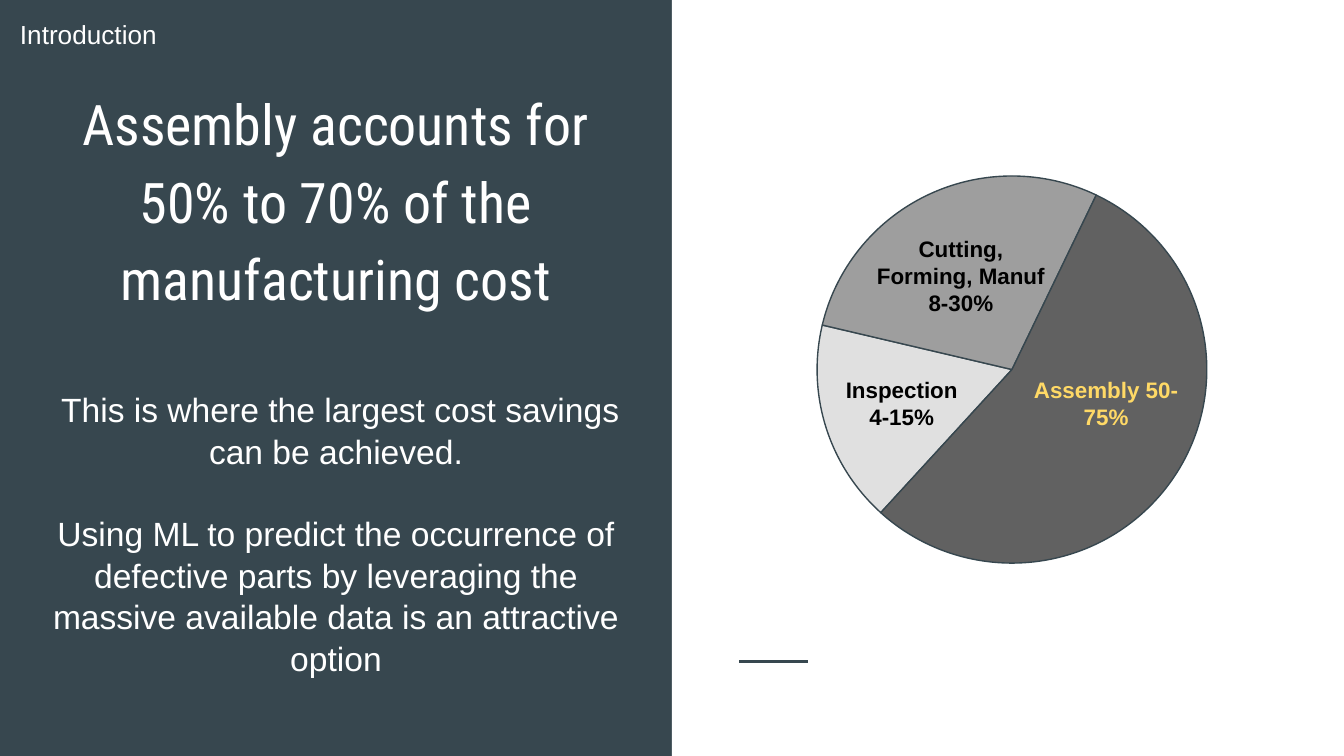
from collections import namedtuple

from lxml.etree import SubElement
from pptx import Presentation
from pptx.dml.color import RGBColor
from pptx.enum.shapes import MSO_CONNECTOR as Connector, MSO_SHAPE as Shape
from pptx.enum.text import MSO_ANCHOR as Anchor, MSO_AUTO_SIZE as AutoSize, PP_ALIGN as Align
from pptx.oxml.ns import qn
from pptx.util import Inches, Pt

COLUMNS = 100
SLIDE_WIDTH = Inches(10)
SLIDE_HEIGHT = SLIDE_WIDTH * 9 // 16
CELL = SLIDE_WIDTH // COLUMNS
ROWS = SLIDE_HEIGHT / CELL
SLATE, WHITE, BLACK, GOLD = "37474F", "FFFFFF", "000000", "FFD966"


class Box(namedtuple("Box", "column row columns rows")):
    """An area measured in grid cells."""

    def area(self, column, row, columns, rows):
        """Return an area placed relative to this one."""
        return Box(self.column + column, self.row + row, columns, rows)

    def lengths(self):
        """Return left, top, width and height as slide lengths."""
        return [round(cells * CELL) for cells in self]


def colour(hex_code):
    """Turn a hex string into a colour."""
    return RGBColor.from_string(hex_code)


def paint(fill, hex_code):
    """Give a fill one solid colour."""
    fill.solid()
    fill.fore_color.rgb = colour(hex_code)


def write(shape, lines, size, hex_code, font="Arial", bold=False, align=Align.CENTER,
          anchor=Anchor.TOP, spacing=1.0, gap=0):
    """Write and format the paragraphs of a text shape."""
    frame = shape.text_frame
    frame.text = "\n".join(lines)
    frame.word_wrap = True
    frame.auto_size = AutoSize.NONE
    frame.vertical_anchor = anchor
    frame.margin_left = frame.margin_right = Inches(0.1)
    frame.margin_top = frame.margin_bottom = Inches(0.1)
    for index, paragraph in enumerate(frame.paragraphs):
        paragraph.alignment = align
        paragraph.line_spacing = spacing
        paragraph.space_before = Pt(gap if index else 0)
        for run in paragraph.runs:
            run.font.name, run.font.size, run.font.bold = font, Pt(size), bold
            run.font.color.rgb = colour(hex_code)


def move(placeholder, box):
    """Place a placeholder on the grid."""
    placeholder.left, placeholder.top, placeholder.width, placeholder.height = box.lengths()


def add_message(slide, box):
    """Fill the dark panel with section name, title and argument."""
    title, argument = slide.shapes.title, slide.placeholders[1]
    move(title, box.area(2.9, 4.6, 44.2, 19.6))
    write(title, ["Assembly accounts for 50% to 70% of the manufacturing cost"],
          30, WHITE, font="Roboto Condensed", anchor=Anchor.BOTTOM, spacing=1.15)
    move(argument, box.area(2.9, 27.8, 44.2, 22.2))
    write(argument, [
        " This is where the largest cost savings can be achieved.",
        "Using ML to predict the occurrence of defective parts by leveraging "
        "the massive available data is an attractive option",
    ], 18, WHITE, spacing=1.04, gap=21.5)
    section = slide.shapes.add_textbox(*box.area(0.5, 0.4, 24.9, 2.8).lengths())
    write(section, ["Introduction"], 14, WHITE, align=Align.LEFT)


def add_cost_pie(slide, box):
    """Draw the cost shares as pie sectors with their labels."""
    sectors = [(132.5, 193.2, "E0E0E0"), (193.2, 295.8, "9E9E9E"), (295.8, 132.5, "616161")]
    for start, end, shade in sectors:
        sector = slide.shapes.add_shape(Shape.PIE, *box.lengths())
        sector.shadow.inherit = False
        sector.adjustments[0], sector.adjustments[1] = start * 0.6, end * 0.6
        paint(sector.fill, shade)
        paint(sector.line.fill, SLATE)
        sector.line.width = Pt(0.75)
    labels = [
        (["Assembly 50-75%"], GOLD, (14.9, 13.9, 13.2, 8)),
        (["Cutting, Forming, Manuf 8-30%"], BLACK, (3, 3.4, 15.4, 8)),
        (["Inspection", "4-15%"], BLACK, (0, 13.9, 12.6, 8)),
    ]
    for lines, hex_code, place in labels:
        label = slide.shapes.add_textbox(*box.area(*place).lengths())
        write(label, lines, 12, hex_code, bold=True)


def add_chart_panel(slide, box):
    """Draw the white panel with its short rule and the pie."""
    panel = slide.shapes.add_shape(Shape.RECTANGLE, *box.lengths())
    panel.shadow.inherit = False
    paint(panel.fill, WHITE)
    panel.line.fill.background()
    left, top, width, _ = box.area(5, 49.2, 5.1, 0).lengths()
    rule = slide.shapes.add_connector(Connector.STRAIGHT, left, top, left + width, top)
    SubElement(rule.element.spPr, qn("a:effectLst"))
    paint(rule.line.fill, SLATE)
    rule.line.width = Pt(1.5)
    add_cost_pie(slide, box.area(10.8, 13.1, 29, 28.8))


def main():
    """Build and save the slide."""
    deck = Presentation()
    deck.slide_width, deck.slide_height = SLIDE_WIDTH, SLIDE_HEIGHT
    slide = deck.slides.add_slide(deck.slide_layouts[0])
    paint(slide.background.fill, SLATE)
    half = COLUMNS / 2
    add_chart_panel(slide, Box(half, 0, half, ROWS))
    add_message(slide, Box(0, 0, half, ROWS))
    deck.save("out.pptx")


if __name__ == "__main__":
    main()
